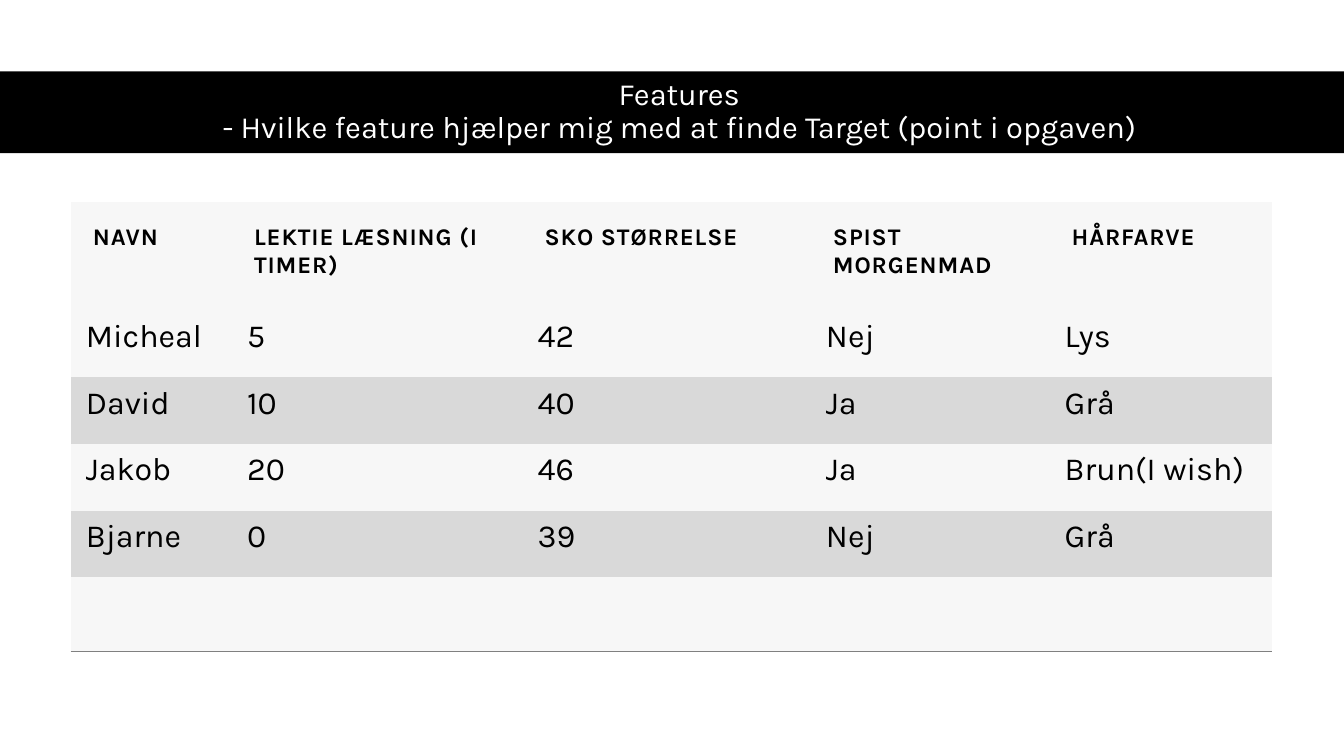
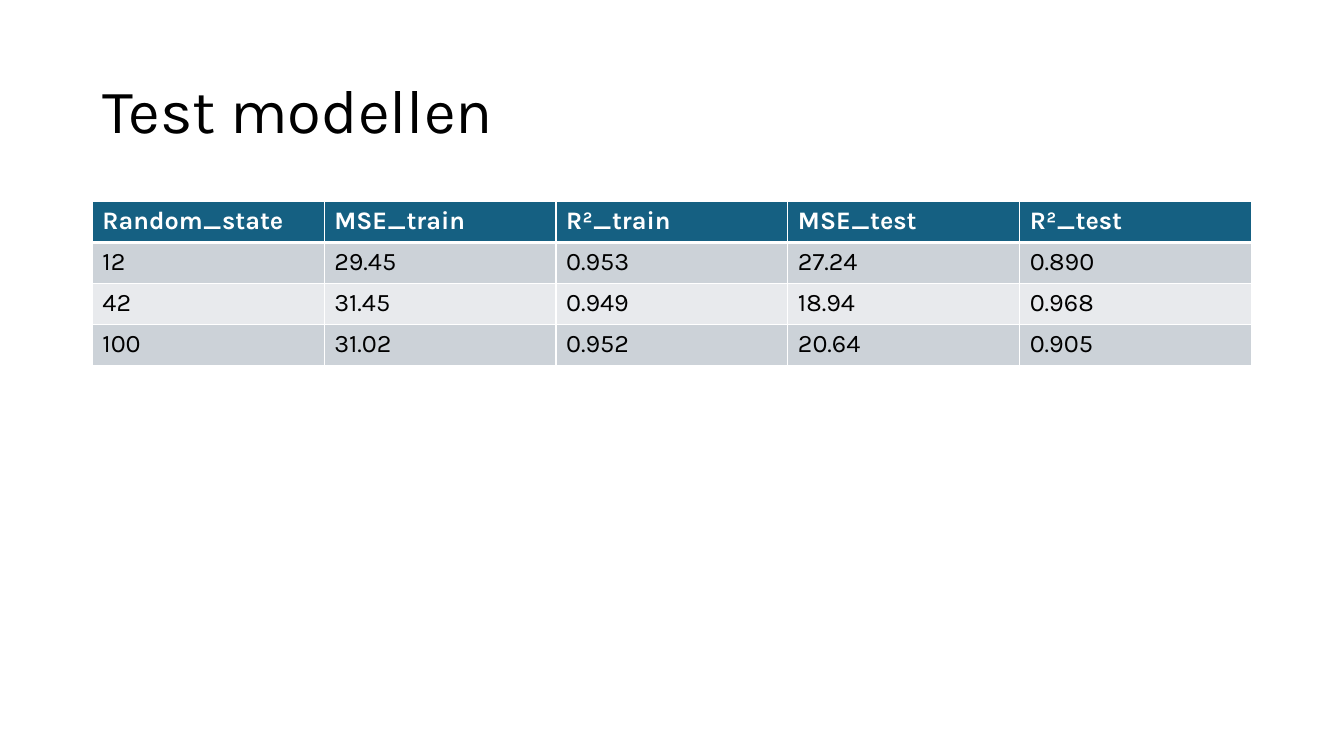
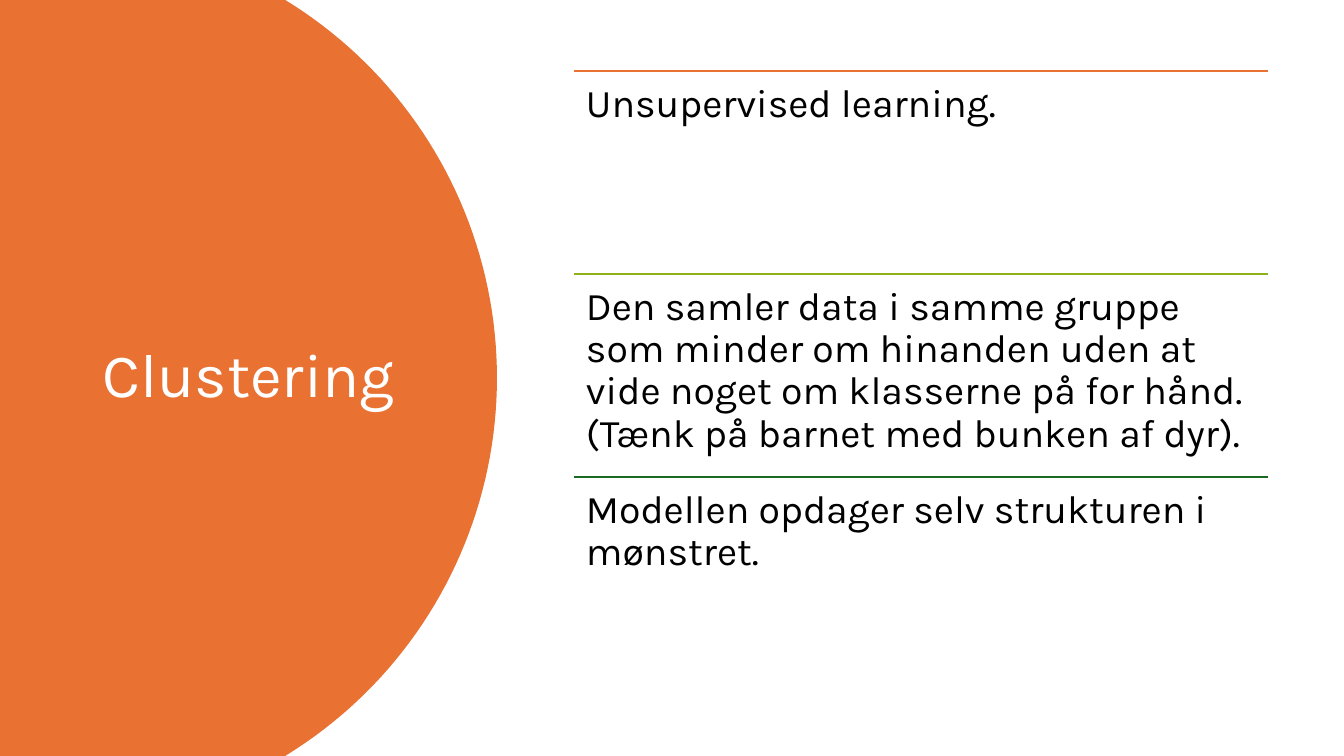
from copy import deepcopy
from dataclasses import dataclass
from math import asin, cos, sin

from lxml.etree import SubElement
from pptx import Presentation
from pptx.dml.color import RGBColor
from pptx.enum.shapes import MSO_CONNECTOR, MSO_SHAPE
from pptx.enum.text import MSO_ANCHOR, MSO_AUTO_SIZE, PP_ALIGN
from pptx.oxml.ns import qn
from pptx.util import Pt

WIDTH, HEIGHT = 960, 540
NO_STYLE_NO_GRID = "{2D5ABB26-0587-4C30-8999-92F81FD0307C}"


@dataclass(frozen=True)
class Theme:
    font: str = "Karla"
    black: str = "000000"
    white: str = "FFFFFF"
    light: str = "F7F7F7"
    shade: str = "D9D9D9"
    rule: str = "808080"
    header: str = "156082"
    band_dark: str = "CCD2D8"
    band_light: str = "E8EAED"
    orange: str = "E97132"
    lime: str = "8EB21E"
    green: str = "196B24"
    title: int = 44
    subtitle: int = 22
    body: int = 28
    cell: int = 23
    label: int = 17
    results: int = 18
    line_spacing: float = 0.9


THEME = Theme()


@dataclass(frozen=True)
class CellStyle:
    """Text and margins (left, top, right, bottom) of a table row."""
    size: int
    color: str
    margins: tuple
    bold: bool = False
    spacing: float = 0


def place(box):
    return [Pt(v) for v in box]


def format_runs(p, size, color, bold=False, spacing=0):
    for r in p.runs:
        r.font.name, r.font.size, r.font.bold = THEME.font, Pt(size), bold
        r.font.color.rgb = RGBColor.from_string(color)
        if spacing:
            r.font._element.set("spc", str(round(spacing * 100)))
    for br in p._p.findall(qn("a:br")):
        br.insert(0, deepcopy(p.runs[0]._r.rPr))


def paint(sp, color):
    sp.shadow.inherit = False
    sp.fill.solid()
    sp.fill.fore_color.rgb = RGBColor.from_string(color)
    sp.line.fill.background()


def send_to_back(slide, sp):
    slide.shapes._spTree.insert(2, sp._element)


def add_title_slide(prs, text, box, size=THEME.title, color=THEME.black,
                    align=PP_ALIGN.LEFT):
    slide = prs.slides.add_slide(prs.slide_layouts[5])
    title = slide.shapes.title
    title.left, title.top, title.width, title.height = place(box)
    tf = title.text_frame
    tf.text = text
    tf.word_wrap = True
    tf.auto_size = MSO_AUTO_SIZE.NONE
    tf.vertical_anchor = MSO_ANCHOR.MIDDLE
    p = tf.paragraphs[0]
    p.alignment, p.line_spacing = align, THEME.line_spacing
    format_runs(p, size, color)
    return slide


def add_border(cell, side, color, width):
    """Draw one side (L, R, T or B); call it before the cell is filled."""
    ln = SubElement(cell._tc.get_or_add_tcPr(), qn(f"a:ln{side}"), w=str(Pt(width)))
    fill = SubElement(ln, qn("a:solidFill"))
    SubElement(fill, qn("a:srgbClr"), val=color)


def add_grid(slide, origin, widths, heights, rows, head, body, fills, borders):
    """Add a table; fills gives each row's colour, borders(row) its sides."""
    box = (*origin, sum(widths), sum(heights))
    table = slide.shapes.add_table(len(heights), len(widths), *place(box)).table
    table._tbl.tblPr.find(qn("a:tableStyleId")).text = NO_STYLE_NO_GRID
    table.horz_banding = False
    for column, width in zip(table.columns, widths):
        column.width = Pt(width)
    for i, (row, height, texts) in enumerate(zip(table.rows, heights, rows)):
        row.height = Pt(height)
        style = body if i else head
        for cell, text in zip(row.cells, texts):
            (cell.margin_left, cell.margin_top,
             cell.margin_right, cell.margin_bottom) = place(style.margins)
            for side, color, width in borders(i):
                add_border(cell, side, color, width)
            cell.fill.solid()
            cell.fill.fore_color.rgb = RGBColor.from_string(fills[i])
            cell.text_frame.text = text
            format_runs(cell.text_frame.paragraphs[0], style.size, style.color,
                        style.bold, style.spacing)


def add_features_slide(prs):
    slide = add_title_slide(
        prs, "Features\v- Hvilke feature hjælper mig med at finde Target (point i opgaven)",
        (44, 50.5, 882.5, 58.5), THEME.subtitle, THEME.white, PP_ALIGN.CENTER)
    band = slide.shapes.add_shape(MSO_SHAPE.RECTANGLE, *place((0, 51, WIDTH, 58.5)))
    paint(band, THEME.black)
    send_to_back(slide, band)
    rows = [
        ("NAVN", "LEKTIE LÆSNING (I TIMER)", "SKO STØRRELSE", "SPIST MORGENMAD", "HÅRFARVE"),
        ("Micheal", "5", "42", "Nej", "Lys"),
        ("David", "10", "40", "Ja", "Grå"),
        ("Jakob", "20", "46", "Ja", "Brun(I wish)"),
        ("Bjarne", "0", "39", "Nej", "Grå"),
        ("",) * 5,
    ]
    last = len(rows) - 1
    add_grid(
        slide, (50.5, 144), (115.2, 207.5, 206, 170.5, 159.2),
        (77.8, *[47.7] * 4, 52.6), rows,
        CellStyle(THEME.label, THEME.black, (15.8,) * 4, bold=True, spacing=0.6),
        CellStyle(THEME.cell, THEME.black, (10.8, 5.2, 10.8, 10.8)),
        [THEME.light] + [THEME.light, THEME.shade] * 2 + [THEME.light],
        lambda i: [("B", THEME.rule, 1)] if i == last else [])


def add_results_slide(prs):
    slide = add_title_slide(prs, "Test modellen", (66, 28.75, 828, 104.4))
    rows = [
        ("Random_state", "MSE_train", "R²_train", "MSE_test", "R²_test"),
        ("12", "29.45", "0.953", "27.24", "0.890"),
        ("42", "31.45", "0.949", "18.94", "0.968"),
        ("100", "31.02", "0.952", "20.64", "0.905"),
    ]
    margins = (7.2, 3.6, 7.2, 3.6)

    def white_grid(i):
        sides = [("L", 1), ("R", 1), ("B", 1 if i else 3)]
        if i == 0:
            sides.insert(2, ("T", 1))
        return [(side, THEME.white, width) for side, width in sides]

    add_grid(
        slide, (66, 144), [165.6] * 5, [29.2] * 4, rows,
        CellStyle(THEME.results, THEME.white, margins, bold=True),
        CellStyle(THEME.results, THEME.black, margins),
        (THEME.header, THEME.band_dark, THEME.band_light, THEME.band_dark), white_grid)


def add_disc(slide, center_x, radius, color, steps=80):
    """Fill the part of a circle, centred on the slide's height, that is on the slide."""
    middle = HEIGHT / 2
    half = asin(middle / radius)
    angles = [half * (2 * i / steps - 1) for i in range(steps + 1)]
    arc = [(Pt(center_x + radius * cos(a)), Pt(middle + radius * sin(a))) for a in angles]
    builder = slide.shapes.build_freeform(0, 0)
    builder.add_line_segments([*arc, (0, Pt(HEIGHT))], close=True)
    disc = builder.convert_to_shape()
    paint(disc, color)
    send_to_back(slide, disc)


def add_ruled_text(slide, box, text, color):
    left, top, width, _ = box
    line = slide.shapes.add_connector(
        MSO_CONNECTOR.STRAIGHT, *place((left, top, left + width, top)))
    line.line.width = Pt(1.5)
    line.line.color.rgb = RGBColor.from_string(color)
    SubElement(line._element.spPr, qn("a:effectLst"))
    tf = slide.shapes.add_textbox(*place(box)).text_frame
    tf.word_wrap = True
    tf.margin_left = tf.margin_top = tf.margin_right = tf.margin_bottom = Pt(8.4)
    tf.text = text
    p = tf.paragraphs[0]
    p.line_spacing = THEME.line_spacing
    format_runs(p, THEME.body, THEME.black)


def add_clustering_slide(prs):
    slide = add_title_slide(prs, "Clustering", (66, 50.5, 232.5, 438.5), color=THEME.white)
    add_disc(slide, 38.4, 316.6, THEME.orange)
    points = [
        ("Unsupervised learning.", THEME.orange),
        ("Den samler data i samme gruppe som minder om hinanden uden at vide noget om "
         "klasserne på for hånd. (Tænk på barnet med bunken af dyr).", THEME.lime),
        ("Modellen opdager selv strukturen i mønstret.", THEME.green),
    ]
    height = 145
    for i, (text, color) in enumerate(points):
        add_ruled_text(slide, (410.2, 51 + i * height, 495.5, height), text, color)


def main():
    prs = Presentation()
    prs.slide_width, prs.slide_height = Pt(WIDTH), Pt(HEIGHT)
    add_features_slide(prs)
    add_results_slide(prs)
    add_clustering_slide(prs)
    prs.save("out.pptx")


if __name__ == "__main__":
    main()
